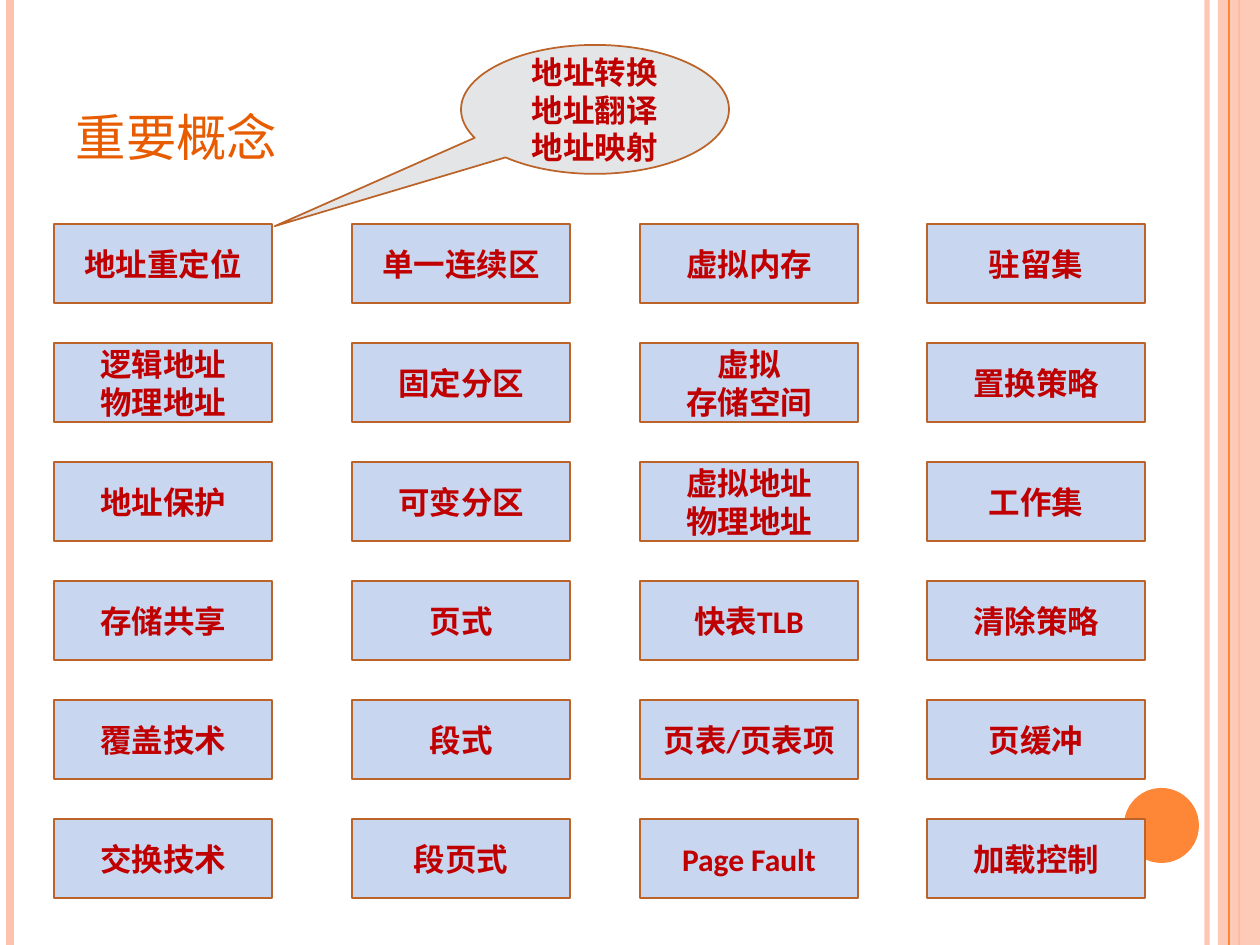
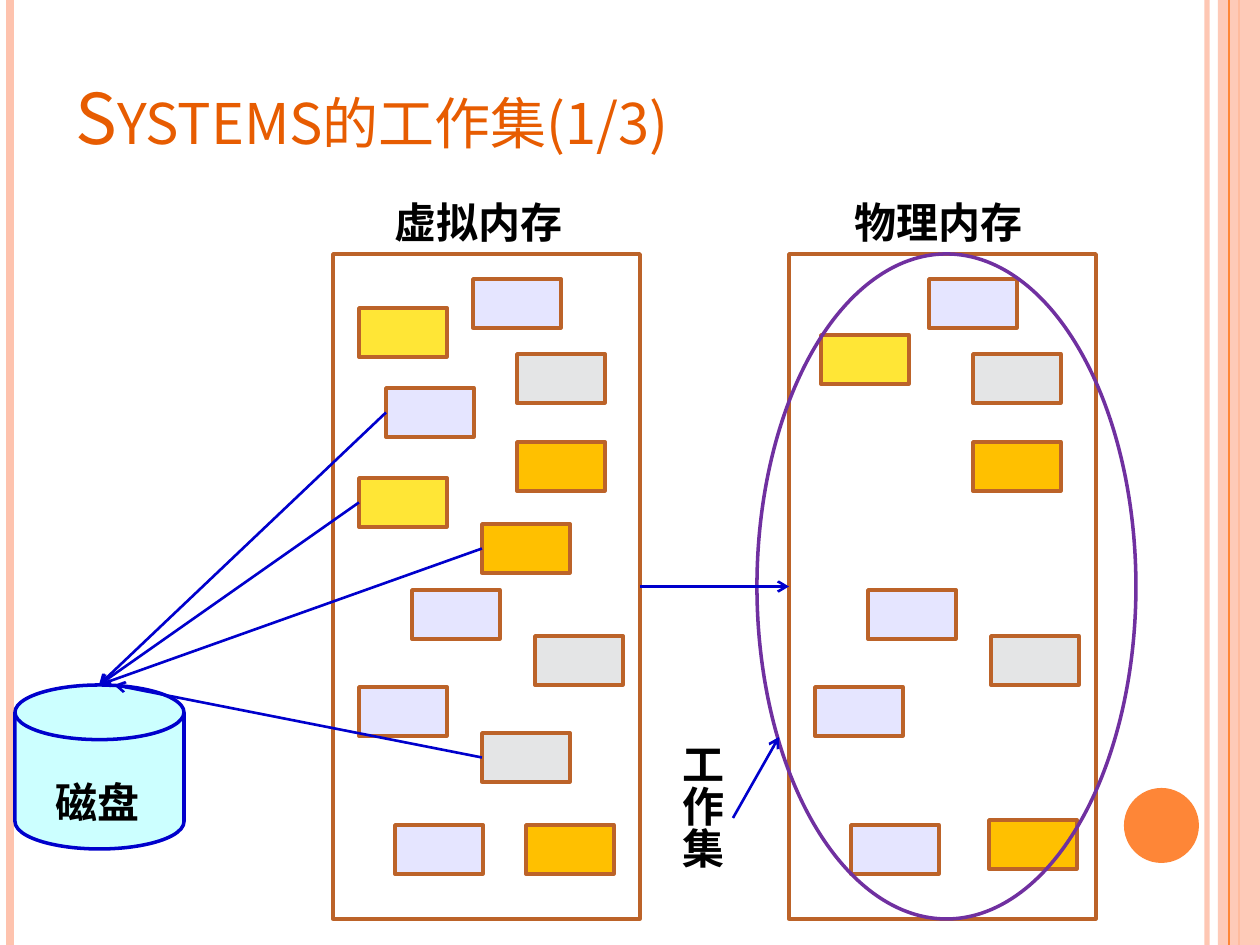
from dataclasses import dataclass

from lxml.etree import SubElement
from pptx import Presentation
from pptx.dml.color import RGBColor
from pptx.enum.shapes import MSO_CONNECTOR, MSO_SHAPE
from pptx.enum.text import MSO_ANCHOR, MSO_AUTO_SIZE, PP_ALIGN
from pptx.oxml.ns import qn
from pptx.util import Emu, Pt

PIXELS_PER_INCH = 126
SLIDE_WIDTH, SLIDE_HEIGHT = 1260, 945


@dataclass(frozen=True)
class Theme:
    latin_font: str = "Calibri"
    chinese_font: str = "Noto Sans CJK SC"
    title: str = "E75C01"
    accent: str = "FE8637"
    band: str = "FEC3AE"
    border: str = "BC6329"
    concept_fill: str = "C8D6F0"
    concept_text: str = "C00000"
    callout_fill: str = "E4E5E6"
    label: str = "000000"
    frame_fill: str = "FFFFFF"
    lavender: str = "E5E5FF"
    yellow: str = "FFE636"
    gray: str = "E4E5E6"
    orange: str = "FFC000"
    working_set: str = "7030A0"
    disk_fill: str = "CCFFFF"
    arrow: str = "0000CC"
    concept_size: int = 18
    label_size: int = 24


THEME = Theme()

CONCEPT_COLUMNS = {
    54: ["地址重定位", "逻辑地址\n物理地址", "地址保护", "存储共享", "覆盖技术", "交换技术"],
    352: ["单一连续区", "固定分区", "可变分区", "页式", "段式", "段页式"],
    640: ["虚拟内存", "虚拟\n存储空间", "虚拟地址\n物理地址", "快表TLB", "页表/页表项", "Page Fault"],
    927: ["驻留集", "置换策略", "工作集", "清除策略", "页缓冲", "加载控制"],
}

RESIDENT_PAGES = [
    (140, 25, THEME.lavender),
    (184, 100, THEME.gray),
    (184, 188, THEME.orange),
    (79, 336, THEME.lavender),
    (202, 382, THEME.gray),
    (26, 433, THEME.lavender),
    (62, 571, THEME.lavender),
]
VIRTUAL_PAGES = [(26, 54, THEME.yellow), (193, 571, THEME.orange)]
PHYSICAL_PAGES = [(32, 81, THEME.yellow), (200, 566, THEME.orange)]
SWAPPED_PAGES = [
    (53, 134, THEME.lavender),
    (26, 224, THEME.yellow),
    (149, 270, THEME.orange),
    (149, 479, THEME.gray),
]


def px(length):
    return Emu(round(length * 914400 / PIXELS_PER_INCH))


def color(value):
    return RGBColor.from_string(value)


def set_alpha(shape, percent):
    for color_element in shape.element.spPr.iter(qn("a:srgbClr")):
        SubElement(color_element, qn("a:alpha"), val=str(percent * 1000))


def format_text(text_frame, text, size, text_color, latin_font,
                bold=True, align=PP_ALIGN.LEFT, small_caps=False):
    text_frame.text = text
    for paragraph in text_frame.paragraphs:
        paragraph.alignment = align
        font = paragraph.font
        font.size, font.bold, font.name = Pt(size), bold, latin_font
        font.color.rgb = color(text_color)
        properties = paragraph._p.pPr.find(qn("a:defRPr"))
        if small_caps:
            properties.set("cap", "small")
        SubElement(properties, qn("a:ea"), typeface=THEME.chinese_font)


def add_box(slide, kind, box, fill=None, line=None, width=2):
    shape = slide.shapes.add_shape(kind, *map(px, box))
    shape.shadow.inherit = False
    if fill:
        shape.fill.solid()
        shape.fill.fore_color.rgb = color(fill)
    else:
        shape.fill.background()
    if line:
        shape.line.color.rgb = color(line)
        shape.line.width = Pt(width)
    else:
        shape.line.fill.background()
    return shape


def add_line(slide, start, end, line, width, arrow=False):
    connector = slide.shapes.add_connector(
        MSO_CONNECTOR.STRAIGHT, *map(px, (*start, *end)))
    connector.line.color.rgb = color(line)
    connector.line.width = Pt(width)
    if arrow:
        SubElement(connector.get_or_add_ln(), qn("a:tailEnd"), type="arrow")
    SubElement(connector.element.spPr, qn("a:effectLst"))
    return connector


def add_arrow(slide, start, end):
    return add_line(slide, start, end, THEME.arrow, 1.5, arrow=True)


def add_label(slide, text, box, vertical=False):
    text_frame = slide.shapes.add_textbox(*map(px, box)).text_frame
    text_frame.word_wrap = False
    text_frame.auto_size = MSO_AUTO_SIZE.SHAPE_TO_FIT_TEXT
    if vertical:
        text_frame._txBody.bodyPr.set("vert", "eaVert")
    format_text(text_frame, text, THEME.label_size, THEME.label, THEME.chinese_font)


def add_concept(slide, kind, box, text, fill, width):
    shape = add_box(slide, kind, box, fill, THEME.border, width)
    shape.text_frame.word_wrap = True
    shape.text_frame.vertical_anchor = MSO_ANCHOR.MIDDLE
    format_text(shape.text_frame, text, THEME.concept_size, THEME.concept_text,
                THEME.latin_font, align=PP_ALIGN.CENTER)
    return shape


def decorate_layout(layout, slide):
    for placeholder in list(layout.placeholders):
        if placeholder.placeholder_format.idx != 0:
            layout.shapes.element.remove(placeholder.element)

    def edge_line(x, line, width):
        return add_line(slide, (x, 0), (x, SLIDE_HEIGHT), line, width)

    inner_line = edge_line(1207, THEME.band, 3)
    set_alpha(inner_line, 93)
    left_line = edge_line(10, THEME.band, 4.5)
    outer_line = edge_line(1239, THEME.accent, 1.5)
    side_band = add_box(slide, MSO_SHAPE.RECTANGLE, (1218, 0, 42, SLIDE_HEIGHT), THEME.band)
    set_alpha(side_band, 87)
    thin_line = edge_line(1229, THEME.accent, 0.75)
    circle = add_box(slide, MSO_SHAPE.OVAL, (1124, 788, 75, 75), THEME.accent)
    for decoration in (inner_line, left_line, outer_line, side_band, thin_line, circle):
        layout.shapes.element.append(decoration.element)


def set_title(slide, text, size, height):
    title = slide.shapes.title
    title.left, title.top, title.width, title.height = map(px, (63, 38, 1029, height))
    title.text_frame.vertical_anchor = MSO_ANCHOR.BOTTOM
    format_text(title.text_frame, text, size, THEME.title, THEME.chinese_font,
                bold=False, small_caps=True)


def fill_concepts_slide(slide):
    set_title(slide, "重要概念", 36, 137)
    first_top, row_pitch = 224, 119
    for left, concepts in CONCEPT_COLUMNS.items():
        for row, concept in enumerate(concepts):
            box = (left, first_top + row * row_pitch, 218, 79)
            add_concept(slide, MSO_SHAPE.RECTANGLE, box, concept, THEME.concept_fill, 1.5)
    callout = add_concept(slide, MSO_SHAPE.OVAL_CALLOUT, (461, 45, 268, 129),
                          "地址转换\n地址翻译\n地址映射", THEME.callout_fill, 1)
    callout.adjustments[0] = -1.195
    callout.adjustments[1] = 0.905


def add_pages(slide, box, pages):
    left, top = box[:2]
    return [add_box(slide, MSO_SHAPE.RECTANGLE, (left + x, top + y, 88, 49), fill, THEME.border)
            for x, y, fill in pages]


def add_memory(slide, box, heading, heading_offset, pages):
    left, top = box[:2]
    frame = add_box(slide, MSO_SHAPE.RECTANGLE, box, THEME.frame_fill, THEME.border)
    add_pages(slide, box, RESIDENT_PAGES + pages)
    add_label(slide, heading, (left + heading_offset, top - 64, 195, 63))
    return frame


def add_disk(slide, box):
    left, top, width, height = box
    add_box(slide, MSO_SHAPE.FLOWCHART_MAGNETIC_DISK, box, THEME.disk_fill, THEME.arrow)
    add_label(slide, "磁盘", (left + 28, top + 85, 111, 63))
    return left + width // 2, top


def fill_working_set_slide(slide):
    set_title(slide, "Systems的工作集(1/3)", 40, 127)
    virtual_box = (333, 254, 307, 665)
    physical_box = (789, 254, 307, 665)
    virtual_memory = add_memory(slide, virtual_box, "虚拟内存", 49, VIRTUAL_PAGES)
    swapped_pages = add_pages(slide, virtual_box, SWAPPED_PAGES)
    physical_memory = add_memory(slide, physical_box, "物理内存", 53, PHYSICAL_PAGES)
    add_box(slide, MSO_SHAPE.OVAL, (757, 254, 379, 665), line=THEME.working_set)
    disk_x, disk_top = add_disk(slide, (15, 685, 169, 164))
    for page, shift in zip(swapped_pages, (0, 0, 0, 15)):
        disk_point = (disk_x + shift, disk_top)
        add_arrow(slide, disk_point, disk_point).begin_connect(page, 1)
    memory_arrow = add_arrow(slide, (640, 586), (789, 586))
    memory_arrow.begin_connect(virtual_memory, 3)
    memory_arrow.end_connect(physical_memory, 1)
    add_label(slide, "工作集", (656, 731, 77, 175), vertical=True)
    add_arrow(slide, (733, 818), (779, 737))


def main():
    presentation = Presentation()
    presentation.slide_width = px(SLIDE_WIDTH)
    presentation.slide_height = px(SLIDE_HEIGHT)
    title_only = presentation.slide_layouts[5]
    concepts_slide = presentation.slides.add_slide(title_only)
    decorate_layout(title_only, concepts_slide)
    fill_concepts_slide(concepts_slide)
    fill_working_set_slide(presentation.slides.add_slide(title_only))
    presentation.save("out.pptx")


if __name__ == "__main__":
    main()
